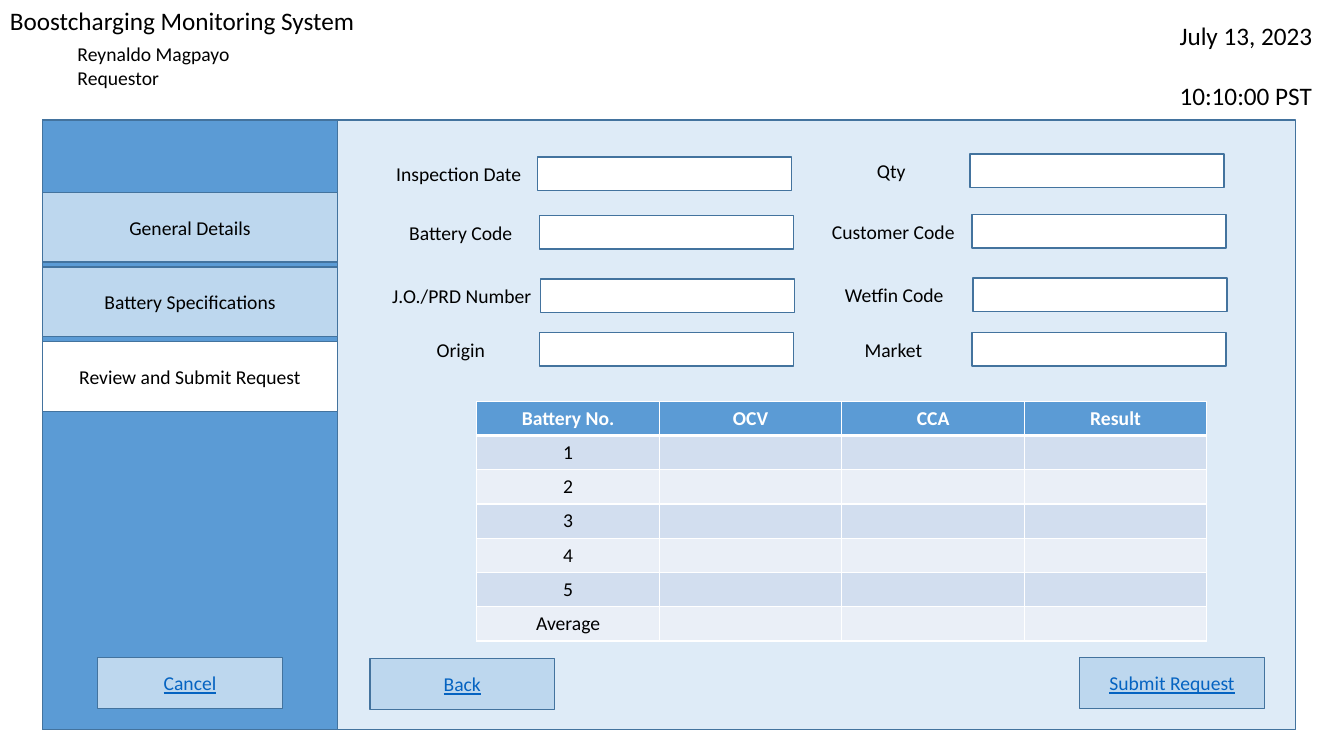
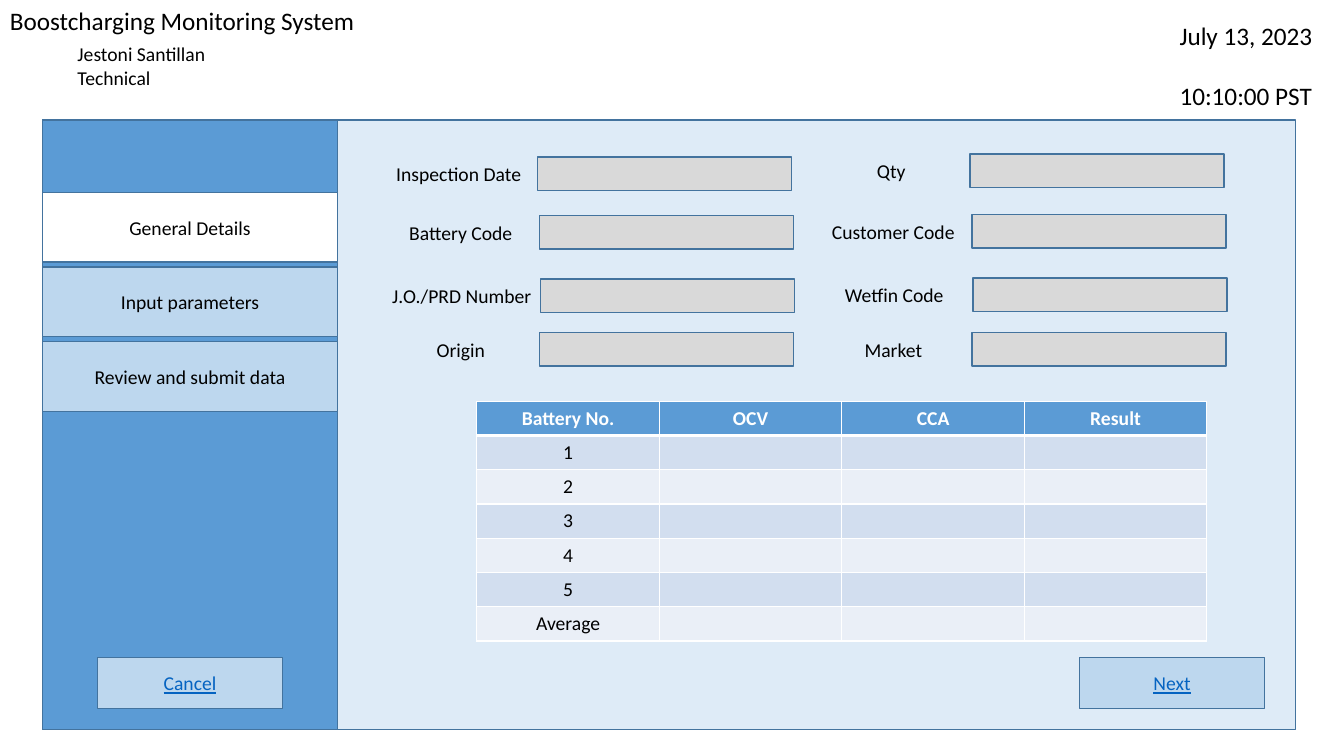
import pptx
import pptx.dml.color
import pptx.enum.shapes
import pptx.enum.text
import pptx.oxml
import pptx.oxml.ns
import pptx.util

Inches = pptx.util.Inches
Pt = pptx.util.Pt
ALIGN = pptx.enum.text.PP_ALIGN
ANCHOR = pptx.enum.text.MSO_ANCHOR

# Shared look
FONT = "Calibri"
BLACK, WHITE, GREY = "000000", "FFFFFF", "D9D9D9"
BLUE, PALE, SOFT = "5B9BD5", "DEEBF7", "BDD7EE"
EDGE, LINK = "43739E", "0563C1"
BANDS = ("D2DEEF", "EAEFF7")

# Shared layout: left, top, width, height
PANEL = (0.42, 1.19, 12.43, 6.05)
SIDE = 2.93
BUTTON = (1.83, 0.51)

# Form rows: left shift, then (label, top) for the left and right columns
ROWS = [
    (-0.02, ("Inspection Date", 0.37), ("Qty", 0.34)),
    (0, ("Battery Code", 0.95), ("Customer Code", 0.94)),
    (0.01, ("J.O./PRD Number", 1.58), ("Wetfin Code", 1.57)),
    (0, ("Origin", 2.11), ("Market", 2.11)),
]
HEADS = ["Battery No.", "OCV", "CCA", "Result"]
LINES = ["1", "2", "3", "4", "5", "Average"]


def color(code):
    return pptx.dml.color.RGBColor.from_string(code)


def style(para, size, code=BLACK, align=ALIGN.LEFT, bold=False, under=False):
    para.alignment = align
    font = para.font
    font.name, font.size = FONT, Pt(size)
    font.bold, font.underline = bold, under
    font.color.rgb = color(code)


def label(slide, box, lines, size=14, align=ALIGN.LEFT, gap=0):
    frame = slide.shapes.add_textbox(*map(Inches, box)).text_frame
    frame.word_wrap = True
    frame.text = "\n".join(lines)
    for para in frame.paragraphs:
        style(para, size, align=align)
    frame.paragraphs[0].space_after = Pt(gap)


def block(slide, box, fill, text="", code=BLACK, under=False):
    kind = pptx.enum.shapes.MSO_SHAPE.RECTANGLE
    shape = slide.shapes.add_shape(kind, *map(Inches, box))
    shape.shadow.inherit = False
    shape.fill.solid()
    shape.fill.fore_color.rgb = color(fill)
    shape.line.color.rgb = color(EDGE)
    shape.line.width = Pt(1)
    if text:
        frame = shape.text_frame
        frame.text = text
        frame.vertical_anchor = ANCHOR.MIDDLE
        style(frame.paragraphs[0], 14, code, ALIGN.CENTER, under=under)


def button(slide, left, top, text):
    block(slide, (left, top, *BUTTON), SOFT, text, LINK, True)


def border(cell, widths):
    props = cell._tc.get_or_add_tcPr()
    for side, width in zip("LRTB", widths):
        props.append(pptx.oxml.parse_xml(
            f'<a:ln{side} {pptx.oxml.ns.nsdecls("a")} w="{Pt(width)}">'
            f'<a:solidFill><a:srgbClr val="{WHITE}"/></a:solidFill>'
            f'</a:ln{side}>'))


def header(slide, user, role):
    label(slide, (0, 0, 9.97, 0.4), ["Boostcharging Monitoring System"], 18)
    label(slide, (11.6, 0.15, 1.69, 0.71),
          ["July 13, 2023", "10:10:00 PST"], 18, gap=21.5)
    label(slide, (0.67, 0.37, 2.68, 0.57), [user, role])


def sidebar(slide, box, tabs, active):
    left, top, width, height = box
    block(slide, box, BLUE)
    for i, text in enumerate(tabs):
        fill = WHITE if i == active else SOFT
        block(slide, (left, top + 0.72 + 0.74 * i, width, 0.69), fill, text)
    button(slide, left + 0.55, top + 5.33, "Cancel")


def fields(slide, left, top, fill):
    for shift, *pair in ROWS:
        for col, (text, drop) in enumerate(pair):
            x, y = left + 2 + 4.29 * col + shift, top + drop
            block(slide, (x, y, 2.52, 0.33), fill)
            label(slide, (x - 1.77, y, 1.98, 0.34), [text],
                  align=ALIGN.CENTER)


def grid(slide, box):
    data = [HEADS] + [[name, "", "", ""] for name in LINES]
    frame = slide.shapes.add_table(len(data), len(HEADS), *map(Inches, box))
    table = frame.table
    for r, row in enumerate(data):
        head = r == 0
        for c, text in enumerate(row):
            cell = table.cell(r, c)
            cell.text = text
            cell.margin_top = cell.margin_bottom = 0
            cell.vertical_anchor = ANCHOR.MIDDLE
            style(cell.text_frame.paragraphs[0], 14, WHITE if head else BLACK,
                  ALIGN.CENTER, bold=head)
            # The rule under the head row is thicker
            border(cell, (1, 1, 3 if r == 1 else 1, 3 if head else 1))
            cell.fill.solid()
            cell.fill.fore_color.rgb = color(
                BLUE if head else BANDS[(r - 1) % 2])


def page(deck, user, role, tabs, active, fill, go, back=None):
    slide = deck.slides.add_slide(deck.slide_layouts[6])
    left, top, width, height = PANEL
    main = left + SIDE
    header(slide, user, role)
    block(slide, PANEL, PALE)
    sidebar(slide, (left, top, SIDE, height), tabs, active)
    fields(slide, main, top, fill)
    grid(slide, (main + 1.38, top + 2.79, 7.24, 2.38))
    button(slide, main + 7.36, top + 5.33, go)
    if back:
        button(slide, main + 0.32, top + 5.34, back)


def main():
    deck = pptx.Presentation()
    deck.slide_width, deck.slide_height = Inches(13.33), Inches(7.5)
    page(deck, "Reynaldo Magpayo", "Requestor",
         ["General Details", "Battery Specifications",
          "Review and Submit Request"],
         2, WHITE, "Submit Request", "Back")
    page(deck, "Jestoni Santillan", "Technical",
         ["General Details", "Input parameters", "Review and submit data"],
         0, GREY, "Next")
    deck.save("out.pptx")


if __name__ == "__main__":
    main()
